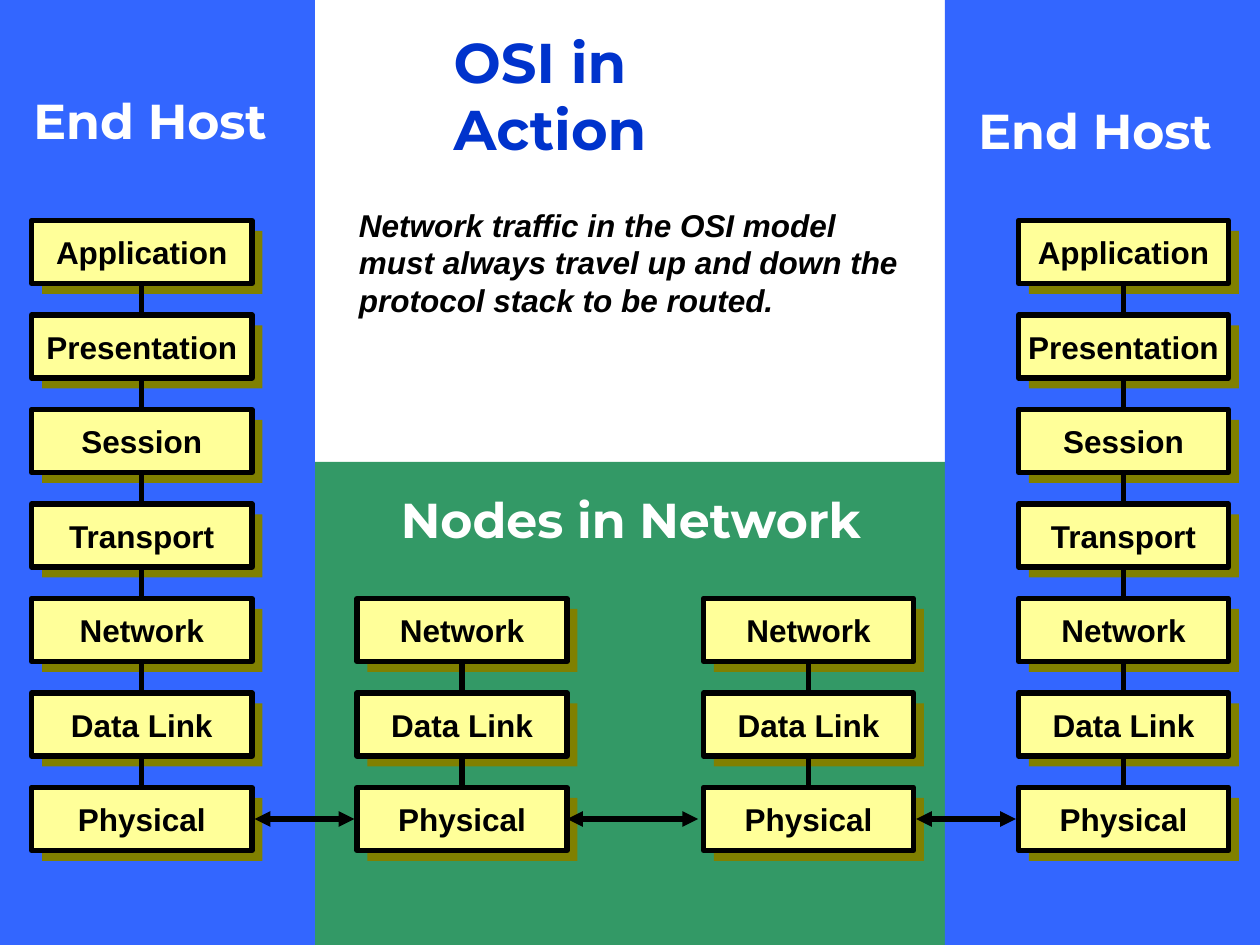
from lxml import etree
from pptx import Presentation
from pptx.dml.color import RGBColor
from pptx.enum.shapes import MSO_CONNECTOR, MSO_SHAPE
from pptx.enum.text import MSO_ANCHOR, MSO_AUTO_SIZE, PP_ALIGN
from pptx.oxml.ns import qn
from pptx.util import Pt

RECT = MSO_SHAPE.RECTANGLE
STRAIGHT = MSO_CONNECTOR.STRAIGHT
LEFT, CENTER = PP_ALIGN.LEFT, PP_ALIGN.CENTER
TOP, MIDDLE = MSO_ANCHOR.TOP, MSO_ANCHOR.MIDDLE
NO_FIT = MSO_AUTO_SIZE.NONE

HEX = {
    "host": "3366FF", "node": "339966", "shade": "808000", "box": "FFFF99",
    "title": "0033CC", "black": "000000", "white": "FFFFFF",
}
RGB = {name: RGBColor.from_string(code) for name, code in HEX.items()}

deck = Presentation()
deck.slide_width, deck.slide_height = Pt(720), Pt(540)
slide = deck.slides.add_slide(deck.slide_layouts[5])
shapes = slide.shapes


def add_block(x, y, w, h, color):
    block = shapes.add_shape(RECT, Pt(x), Pt(y), Pt(w), Pt(h))
    block.shadow.inherit = False
    block.fill.solid()
    block.fill.fore_color.rgb = RGB[color]
    block.line.fill.background()
    return block


def add_line(x1, y1, x2, y2):
    line = shapes.add_connector(STRAIGHT, Pt(x1), Pt(y1), Pt(x2), Pt(y2))
    line.line.color.rgb = RGB["black"]
    line.line.width = Pt(3)
    etree.SubElement(line._element.spPr, qn("a:effectLst"))
    return line


# Background areas
add_block(180, 264, 360, 276, "node")
add_block(540, 0, 180, 540, "host")
add_block(0, 0, 180, 540, "host")

# Protocol stacks: left, width, first layer
LAYERS = ["Application", "Presentation", "Session", "Transport",
          "Network", "Data Link", "Physical"]
STACKS = [(18, 126, 0), (582, 120, 0), (204, 120, 4), (402, 120, 4)]
FIRST, STEP, HIGH, DROP = 126, 54, 36, 6

for x, w, start in STACKS:
    for row, name in enumerate(LAYERS[start:], start):
        y = FIRST + row * STEP
        add_block(x + DROP, y + DROP, w, HIGH, "shade")
        box = add_block(x, y, w, HIGH, "box")
        box.line.color.rgb = RGB["black"]
        box.line.width = Pt(3)
        frame = box.text_frame
        frame.word_wrap = False
        frame.vertical_anchor = MIDDLE
        para = frame.paragraphs[0]
        para.text = name
        para.alignment = CENTER
        para.font.name = "Arial"
        para.font.size = Pt(18)
        para.font.bold = True
        para.font.color.rgb = RGB["black"]
        if row > start:
            mid = x + w / 2
            add_line(mid, y - STEP + HIGH + 1.5, mid, y - 1.5)

# Links between the physical layers
for x1, x2 in [(145.5, 202.5), (324, 399), (523.5, 580.5)]:
    link = add_line(x1, 468, x2, 468)
    ln = link.line._get_or_add_ln()
    for end in ("a:headEnd", "a:tailEnd"):
        etree.SubElement(ln, qn(end), type="triangle")

# Title and text: shape, place, wording, font, size, colour, italic
TEXTS = [
    (shapes.title, (252, 12, 220, 46), "OSI in Action",
     "Montserrat", 32, "title", False),
]
for place, words, font, size, color, slant in [
    ((12, 48, 162, 41), "End Host", "Montserrat", 28, "white", False),
    ((552, 54, 162, 41), "End Host", "Montserrat", 28, "white", False),
    ((222, 276, 312, 41), "Nodes in Network", "Montserrat", 28, "white", False),
    ((198, 114, 325.5, 72),
     "Network traffic in the OSI model must always travel up and down "
     "the protocol stack to be routed.", "Arial", 18, "black", True),
]:
    label = shapes.add_textbox(0, 0, 0, 0)
    TEXTS.append((label, place, words, font, size, color, slant))

for label, place, words, font, size, color, slant in TEXTS:
    label.left, label.top, label.width, label.height = map(Pt, place)
    frame = label.text_frame
    frame.word_wrap = True
    frame.auto_size = NO_FIT
    frame.vertical_anchor = TOP
    para = frame.paragraphs[0]
    para.text = words
    para.alignment = LEFT
    para.font.name = font
    para.font.size = Pt(size)
    para.font.bold = True
    para.font.italic = slant
    para.font.color.rgb = RGB[color]

deck.save("out.pptx")
